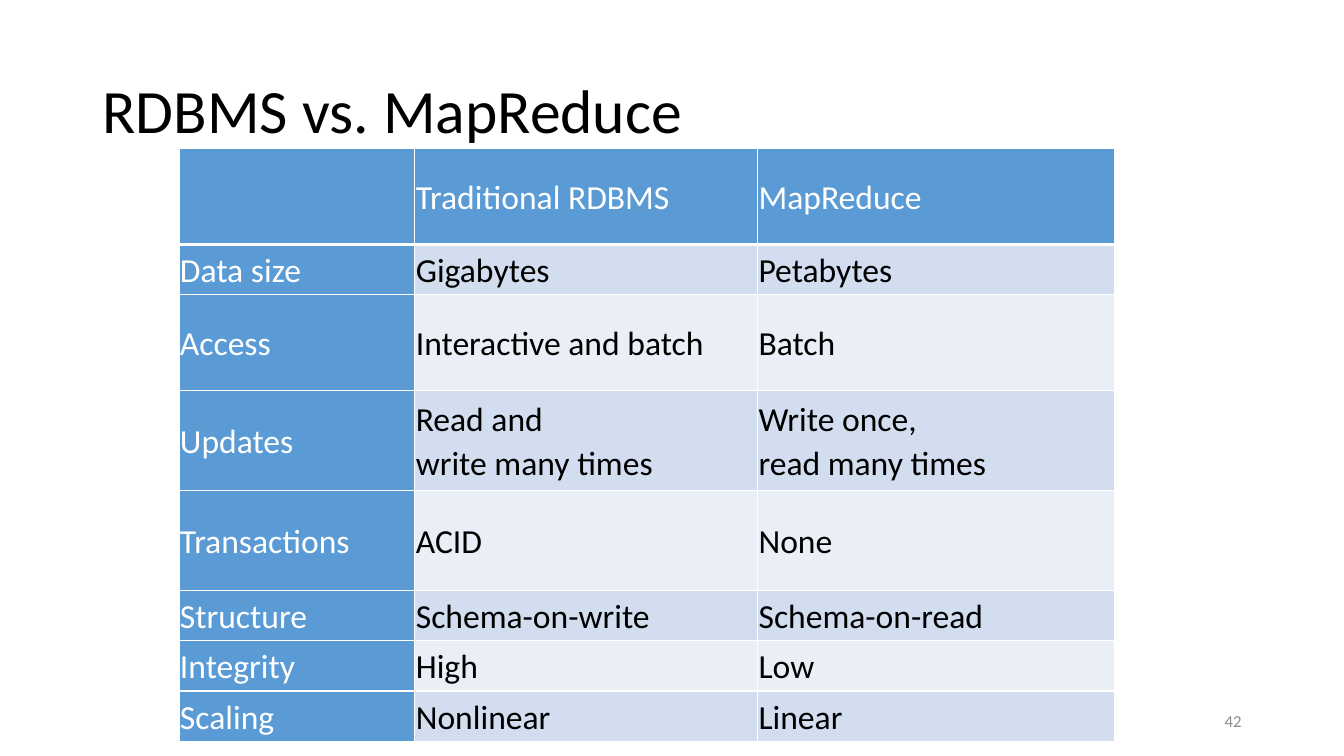
from lxml.etree import SubElement
from pptx import Presentation
from pptx.dml.color import RGBColor
from pptx.enum.text import MSO_ANCHOR, MSO_AUTO_SIZE, PP_ALIGN
from pptx.oxml.ns import qn
from pptx.util import Pt

COLORS = {
    "text": "000000",
    "white": "FFFFFF",
    "header": "5B9BD5",
    "band_dark": "D2DEEF",
    "band_light": "EAEFF7",
    "number": "8C8C8C",
}
COLUMNS = [168.5, 244.8, 254.9]
HEIGHTS = [68.4, 36, 68.4, 71.3, 71.3, 36, 36, 36]
ROWS = [
    ["", "Traditional RDBMS", "MapReduce"],
    ["Data size", "Gigabytes", "Petabytes"],
    ["Access", "Interactive and batch", "Batch"],
    ["Updates", "Read and\nwrite many times", "Write once,\nread many times"],
    ["Transactions", "ACID", "None"],
    ["Structure", "Schema-on-write", "Schema-on-read"],
    ["Integrity", "High", "Low"],
    ["Scaling", "Nonlinear", "Linear"],
]


class Deck:
    """Holds the style and the current slide."""

    def __init__(self, prs, font="Calibri"):
        """Add a title-only slide to the presentation."""
        self.font = font
        self.s = prs.slides.add_slide(prs.slide_layouts[5])

    def format(self, tf, size, color, align=PP_ALIGN.LEFT, spacing=1.0):
        """Style every paragraph and run of a text frame."""
        for p in tf.paragraphs:
            p.alignment = align
            p.line_spacing = spacing
            for r in p.runs:
                r.font.name = self.font
                r.font.size = Pt(size)
                r.font.color.rgb = RGBColor.from_string(COLORS[color])

    def title(self, text, left, top, width, height):
        """Fill and place the title placeholder."""
        sp = self.s.shapes.title
        sp.left, sp.top, sp.width, sp.height = map(Pt, (left, top, width, height))
        tf = sp.text_frame
        tf.text = text
        tf.auto_size = MSO_AUTO_SIZE.NONE
        tf.vertical_anchor = MSO_ANCHOR.MIDDLE
        self.format(tf, 44, "text", spacing=0.9)

    def number(self, text, left, top, width, height):
        """Add the right-aligned page number."""
        sp = self.s.shapes.add_textbox(*map(Pt, (left, top, width, height)))
        tf = sp.text_frame
        tf.word_wrap = True
        tf.vertical_anchor = MSO_ANCHOR.MIDDLE
        tf.text = text
        self.format(tf, 12, "number", PP_ALIGN.RIGHT)

    def borders(self, cell, bottom):
        """Draw white borders around a cell."""
        tcPr = cell._tc.get_or_add_tcPr()
        for side, width in zip("LRTB", (1, 1, 1, bottom)):
            ln = SubElement(tcPr, qn(f"a:ln{side}"), w=str(Pt(width)))
            fill = SubElement(ln, qn("a:solidFill"))
            SubElement(fill, qn("a:srgbClr"), val=COLORS["white"])

    def cell(self, cell, text, fill, color, bottom):
        """Fill one table cell."""
        self.borders(cell, bottom)
        cell.fill.solid()
        cell.fill.fore_color.rgb = RGBColor.from_string(COLORS[fill])
        cell.vertical_anchor = MSO_ANCHOR.MIDDLE
        cell.margin_left = cell.margin_right = Pt(0.75)
        cell.margin_top = cell.margin_bottom = Pt(0.75)
        cell.text_frame.text = text
        self.format(cell.text_frame, 24, color, spacing=1.07)

    def table(self, rows, columns, heights, left, top):
        """Add a banded table with a header row and a header column."""
        frame = self.s.shapes.add_table(
            len(rows), len(columns), Pt(left), Pt(top), Pt(sum(columns)), Pt(sum(heights)))
        table = frame.table
        table.first_col = True
        for column, width in zip(table.columns, columns):
            column.width = Pt(width)
        for i, (row, height) in enumerate(zip(rows, heights)):
            table.rows[i].height = Pt(height)
            band = "band_dark" if i % 2 else "band_light"
            for j, text in enumerate(row):
                head = i == 0 or j == 0
                self.cell(table.cell(i, j), text, "header" if head else band,
                          "white" if head else "text", 1 if i else 3)


def main():
    """Build and save the comparison slide."""
    prs = Presentation()
    prs.slide_width, prs.slide_height = Pt(960), Pt(540)
    deck = Deck(prs)
    deck.title("RDBMS vs. MapReduce", 66, 28.8, 828, 104.4)
    deck.table(ROWS, COLUMNS, HEIGHTS, 127.8, 106.2)
    deck.number("42", 678, 500.5, 216, 28.8)
    prs.save("out.pptx")


if __name__ == "__main__":
    main()
